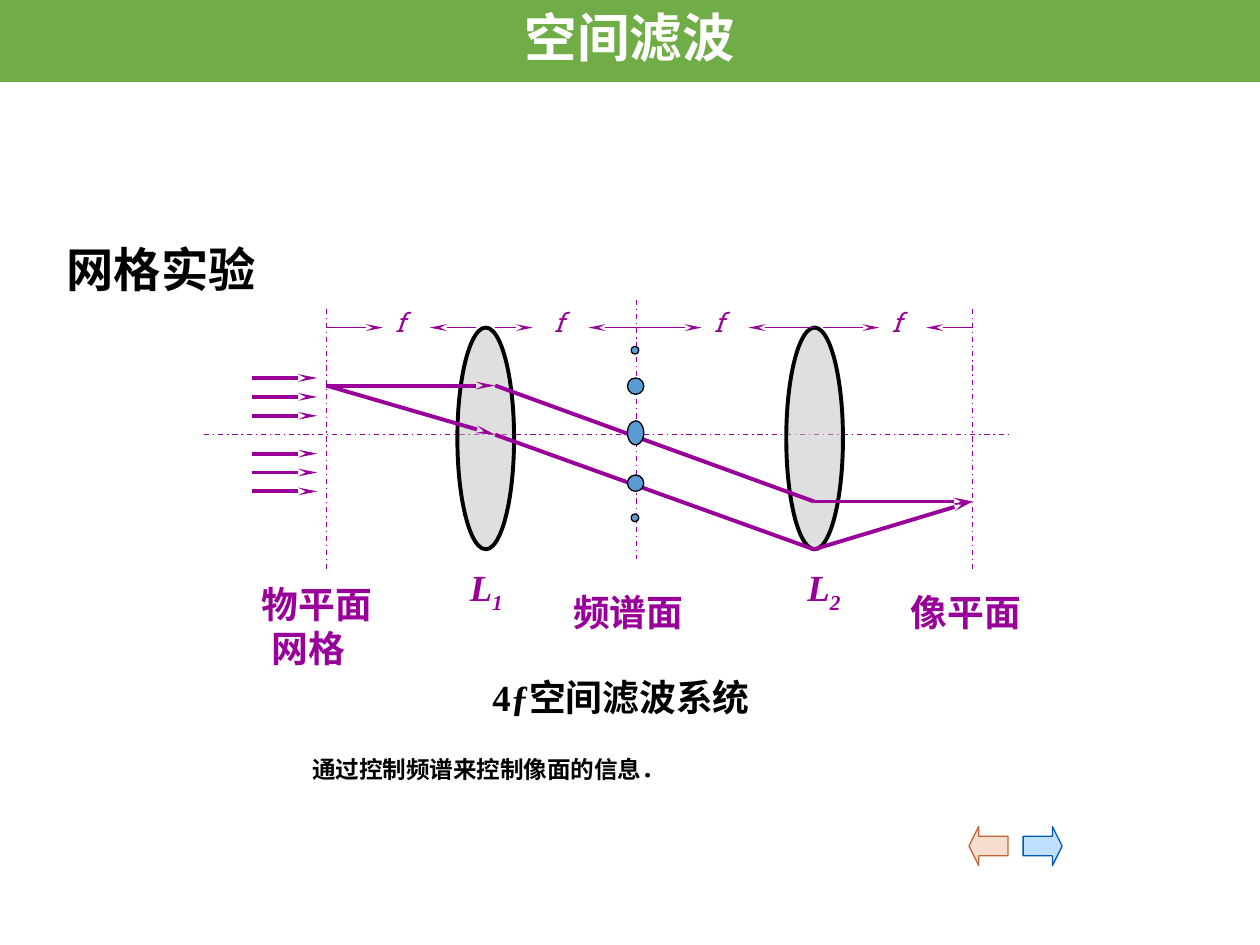
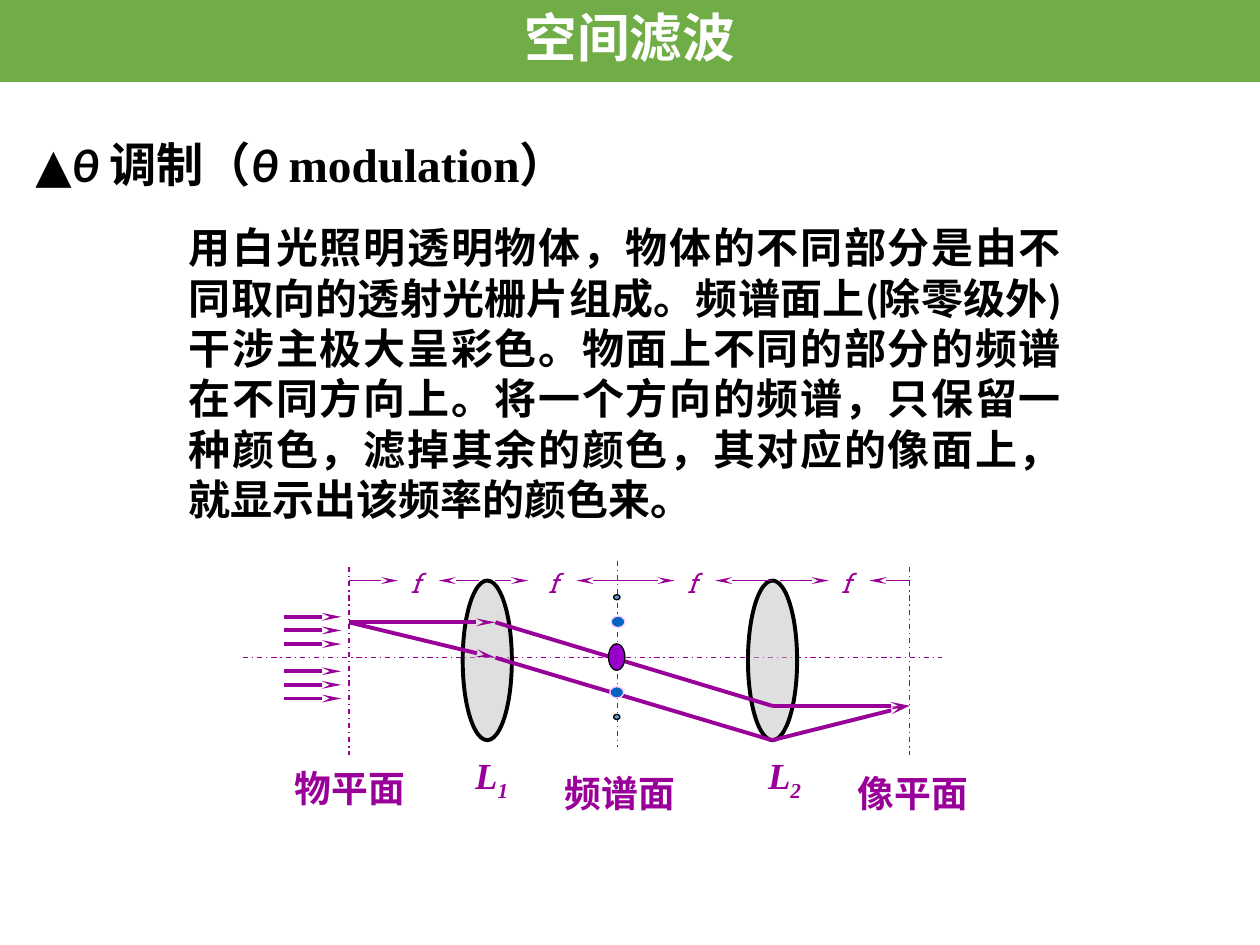
from dataclasses import dataclass, replace
from typing import NamedTuple

from pptx import Presentation
from pptx.dml.color import RGBColor
from pptx.enum.dml import MSO_LINE
from pptx.enum.shapes import MSO_CONNECTOR, MSO_SHAPE
from pptx.enum.text import MSO_ANCHOR, MSO_AUTO_SIZE, PP_ALIGN
from pptx.oxml.ns import qn
from pptx.util import Inches, Pt
from lxml import etree

WHITE = RGBColor(0xFF, 0xFF, 0xFF)
BLACK = RGBColor(0x00, 0x00, 0x00)
GREEN = RGBColor(0x70, 0xAD, 0x47)
PURPLE = RGBColor(0x99, 0x00, 0x99)
VIOLET = RGBColor(0x99, 0x00, 0xCC)
SILVER = RGBColor(0xC0, 0xC0, 0xC0)
BLUE = RGBColor(0x5B, 0x9B, 0xD5)
DEEP_BLUE = RGBColor(0x05, 0x63, 0xC1)
PINK = RGBColor(0xFF, 0xCC, 0xFF)
NEXT_FILL = RGBColor(0xC1, 0xE0, 0xFF)
NEXT_LINE = RGBColor(0x00, 0x5B, 0xB6)
BACK_FILL = RGBColor(0xF6, 0xDD, 0xCE)
BACK_LINE = RGBColor(0xBF, 0x66, 0x39)

SERIF = "Times New Roman"
SANS = "Calibri"
SLAB = "Roboto Slab"
THIN, THICK = 0.75, 2.25


@dataclass(frozen=True)
class TextStyle:
    font: str
    size: float
    color: RGBColor = BLACK
    bold: bool = True
    italic: bool = False


BAND_STYLE = TextStyle(SANS, 30, WHITE)
TITLE_STYLE = TextStyle(SANS, 27)
BODY_STYLE = TextStyle(SANS, 24)
CAPTION_STYLE = TextStyle(SERIF, 21)
NOTE_STYLE = TextStyle(SERIF, 13.5)
PLANE_STYLE = TextStyle(SLAB, 21, PURPLE)
LENS_STYLE = TextStyle(SERIF, 21, PURPLE, italic=True)
FOCAL_STYLE = TextStyle(SLAB, 15, PURPLE, bold=False, italic=True)


class Run(NamedTuple):
    text: str
    font: str | None = None
    italic: bool | None = None
    subscript: bool = False


class Box(NamedTuple):
    left: float
    top: float
    width: float
    height: float

    def lengths(self) -> list:
        return [Inches(value) for value in self]


class Segment(NamedTuple):
    start: tuple[float, float]
    end: tuple[float, float]
    width: float = THICK
    arrow: bool = True
    dashed: bool = False


class Spot(NamedTuple):
    box: Box
    fill: RGBColor = BLUE
    line: RGBColor = BLACK


@dataclass(frozen=True)
class Frame:
    left: float
    right: float
    top: float
    bottom: float

    def place(self, x: float, y: float) -> tuple[float, float]:
        across = (x - BASE.left) / (BASE.right - BASE.left)
        down = (y - BASE.top) / (BASE.bottom - BASE.top)
        return (self.left + across * (self.right - self.left),
                self.top + down * (self.bottom - self.top))


BASE = Frame(2.59, 7.72, 2.45, 4.52)
SMALL = Frame(2.77, 7.22, 4.5, 5.99)

AXIS, LENS_TOP, LENS_BOTTOM = 3.45, 2.6, 4.36
RAY_TOP, IMAGE_Y = 3.06, 3.98
LENS_1, SPECTRUM, LENS_2 = 3.93, 5.05, 6.46
LENS_LEFTS, LENS_WIDTH = (3.63, 6.24), 0.45

GUIDES = [
    Segment(start, end, THIN, arrow=False, dashed=True)
    for start, end in [
        ((BASE.left, BASE.top), (BASE.left, BASE.bottom)),
        ((1.62, AXIS), (8.02, AXIS)),
        ((SPECTRUM, 2.38), (SPECTRUM, 4.44)),
        ((BASE.right, BASE.top), (BASE.right, BASE.bottom)),
    ]
]
RAYS = [
    Segment((BASE.left, RAY_TOP), (LENS_1, RAY_TOP)),
    Segment((LENS_1, RAY_TOP), (LENS_2, IMAGE_Y), arrow=False),
    Segment((BASE.left, RAY_TOP), (LENS_1, AXIS)),
    Segment((LENS_1, AXIS), (LENS_2, LENS_BOTTOM), arrow=False),
    Segment((LENS_2, IMAGE_Y), (BASE.right, IMAGE_Y)),
    Segment((LENS_2, LENS_BOTTOM), (BASE.right, IMAGE_Y)),
]
INCOMING = [
    Segment((2, AXIS + 0.15 * step), (2.52, AXIS + 0.15 * step))
    for step in (-3, -2, -1, 1, 2, 3)
]
FOCAL_ARROWS = [
    Segment((start, LENS_TOP), (end, LENS_TOP), THIN)
    for start, end in [(2.59, 3.04), (3.78, 3.41), (3.93, 4.23), (5.12, 4.67),
                       (5.12, 5.57), (6.46, 5.94), (6.53, 6.98), (7.72, 7.35)]
]
FOCAL_LEFTS = (3.04, 4.3, 5.57, 6.98)

GRID_SPOTS = [
    Spot(Box(4.98, 3.34, 0.13, 0.19)),
    Spot(Box(4.98, 3.77, 0.13, 0.13)),
    Spot(Box(4.98, 3, 0.13, 0.13)),
    Spot(Box(5.01, 4.08, 0.06, 0.06)),
    Spot(Box(5.01, 2.75, 0.06, 0.06)),
]
THETA_SPOTS = [
    Spot(Box(4.83, 5.11, 0.13, 0.21), VIOLET),
    Spot(Box(4.84, 5.45, 0.11, 0.09), DEEP_BLUE, PINK),
    Spot(Box(4.85, 4.89, 0.11, 0.09), DEEP_BLUE, PINK),
    Spot(Box(4.87, 5.67, 0.05, 0.04)),
    Spot(Box(4.87, 4.72, 0.05, 0.04)),
]


def write_runs(paragraph, runs: list[Run], style: TextStyle) -> None:
    font = paragraph.font
    font.size = Pt(style.size)
    font.bold = style.bold
    font.color.rgb = style.color
    if not any(run.font for run in runs):
        font.name = style.font
    if all(run.italic is None for run in runs):
        font.italic = style.italic
    for part in runs:
        run = paragraph.add_run()
        run.text = part.text
        if any(other.font for other in runs):
            run.font.name = part.font or style.font
        if part.italic is not None:
            run.font.italic = part.italic
        if part.subscript:
            run.font._element.set("baseline", "-25000")


def add_text(slide, box: Box, runs: list[Run], style: TextStyle, wrap: bool = True):
    shape = slide.shapes.add_textbox(*box.lengths())
    frame = shape.text_frame
    frame.word_wrap = wrap
    frame.auto_size = MSO_AUTO_SIZE.SHAPE_TO_FIT_TEXT
    write_runs(frame.paragraphs[0], runs, style)
    return frame


def add_preset(slide, kind, box: Box, fill: RGBColor, line: RGBColor | None = None,
               width: float = THIN):
    shape = slide.shapes.add_shape(kind, *box.lengths())
    shape.shadow.inherit = False
    shape.fill.solid()
    shape.fill.fore_color.rgb = fill
    if line is None:
        shape.line.fill.background()
    else:
        shape.line.color.rgb = line
        shape.line.width = Pt(width)
    return shape


def add_segment(slide, segment: Segment, frame: Frame) -> None:
    points = frame.place(*segment.start) + frame.place(*segment.end)
    connector = slide.shapes.add_connector(
        MSO_CONNECTOR.STRAIGHT, *(Inches(value) for value in points))
    connector.line.color.rgb = PURPLE
    connector.line.width = Pt(segment.width)
    if segment.dashed:
        connector.line.dash_style = MSO_LINE.DASH_DOT
    if segment.arrow:
        etree.SubElement(connector.line._get_or_add_ln(), qn("a:tailEnd"),
                         type="stealth", w="sm", len="lg")
    etree.SubElement(connector._element.spPr, qn("a:effectLst"))


def add_lens(slide, left: float, frame: Frame) -> None:
    x, y = frame.place(left, LENS_TOP)
    right, bottom = frame.place(left + LENS_WIDTH, LENS_BOTTOM)
    lens = add_preset(slide, MSO_SHAPE.OVAL, Box(x, y, right - x, bottom - y),
                      SILVER, BLACK, THICK)
    color = lens._element.spPr.find(qn("a:solidFill"))[0]
    etree.SubElement(color, qn("a:alpha"), val="50000")


def add_diagram(slide, frame: Frame, spots: list[Spot]):
    for segment in GUIDES:
        add_segment(slide, segment, frame)
    for left in LENS_LEFTS:
        add_lens(slide, left, frame)
    for segment in RAYS + INCOMING + FOCAL_ARROWS:
        add_segment(slide, segment, frame)
    for left in FOCAL_LEFTS:
        add_text(slide, Box(*frame.place(left, 2.38), 0.27, 0.35),
                 [Run("f")], FOCAL_STYLE, wrap=False)
    for number, left in (("1", 3.63), ("2", 6.31)):
        add_text(slide, Box(*frame.place(left, 4.43), 0.48, 0.45),
                 [Run("L"), Run(number, subscript=True)], LENS_STYLE, wrap=False)
    plane_labels = [
        add_text(slide, Box(*frame.place(left, top), 1.09, 0.45),
                 [Run(label)], PLANE_STYLE, wrap=False)
        for label, left, top in (("物平面", 1.98, 4.57), ("频谱面", 4.45, 4.63),
                                 ("像平面", 7.13, 4.63))
    ]
    for spot in spots:
        add_preset(slide, MSO_SHAPE.OVAL, spot.box, spot.fill, spot.line)
    return plane_labels[0]


def add_slide(presentation, title_box: Box, title_runs: list[Run]):
    slide = presentation.slides.add_slide(presentation.slide_layouts[5])
    title = slide.shapes.title
    title.left, title.top, title.width, title.height = title_box.lengths()
    title.text_frame.auto_size = MSO_AUTO_SIZE.NONE
    title.text_frame.vertical_anchor = MSO_ANCHOR.MIDDLE
    heading = title.text_frame.paragraphs[0]
    heading.alignment = PP_ALIGN.LEFT
    heading.line_spacing = 0.9
    write_runs(heading, title_runs, TITLE_STYLE)

    band = add_preset(slide, MSO_SHAPE.RECTANGLE, Box(0, 0, 10, 0.65), GREEN)
    frame = band.text_frame
    frame.margin_left = frame.margin_right = Inches(0.07)
    frame.margin_top = frame.margin_bottom = Inches(0.04)
    frame.vertical_anchor = MSO_ANCHOR.MIDDLE
    paragraph = frame.paragraphs[0]
    paragraph.alignment = PP_ALIGN.CENTER
    paragraph.line_spacing = 0.9
    write_runs(paragraph, [Run("空间滤波")], BAND_STYLE)
    return slide


def add_grid_slide(presentation) -> None:
    slide = add_slide(presentation, Box(0.43, 1.88, 3.15, 0.56), [Run("网格实验")])
    object_label = add_diagram(slide, BASE, GRID_SPOTS)
    grid_label = object_label.add_paragraph()
    grid_label._p.get_or_add_pPr().set("marL", str(Inches(0.08)))
    write_runs(grid_label, [Run("网格")], replace(PLANE_STYLE))
    add_text(slide, Box(3.81, 5.31, 2.81, 0.45), [Run("4ƒ空间滤波系统")], CAPTION_STYLE)
    add_text(slide, Box(2.38, 5.94, 5.62, 0.33),
             [Run("通过控制频谱来控制像面的信息．")], NOTE_STYLE)
    for kind, left, fill, line in (
            (MSO_SHAPE.RIGHT_ARROW, 8.12, NEXT_FILL, NEXT_LINE),
            (MSO_SHAPE.LEFT_ARROW, 7.69, BACK_FILL, BACK_LINE)):
        arrow = add_preset(slide, kind, Box(left, 6.56, 0.31, 0.31), fill, line)
        arrow.adjustments[0] = 0.5
        arrow.adjustments[1] = 0.25


def add_theta_slide(presentation) -> None:
    theta = Run("θ ", SANS, True)
    slide = add_slide(presentation, Box(0.18, 1.05, 4.53, 0.56), [
        Run("▲", SANS, False), theta, Run("调制（", SANS, False), theta,
        Run("modulation", SERIF, False), Run("）", SANS, False)])
    body = add_text(slide, Box(1.4, 1.71, 7.12, 2.52), [Run(
        "用白光照明透明物体，物体的不同部分是由不同取向的透射光栅片组成。"
        "频谱面上(除零级外)干涉主极大呈彩色。物面上不同的部分的频谱在不同方向上。"
        "将一个方向的频谱，只保留一种颜色，滤掉其余的颜色，其对应的像面上，"
        "就显示出该频率的颜色来。")], BODY_STYLE)
    body.paragraphs[0].alignment = PP_ALIGN.JUSTIFY
    add_diagram(slide, SMALL, THETA_SPOTS)


def main() -> None:
    presentation = Presentation()
    presentation.slide_width = Inches(10)
    presentation.slide_height = Inches(7.5)
    add_grid_slide(presentation)
    add_theta_slide(presentation)
    presentation.save("out.pptx")


if __name__ == "__main__":
    main()
